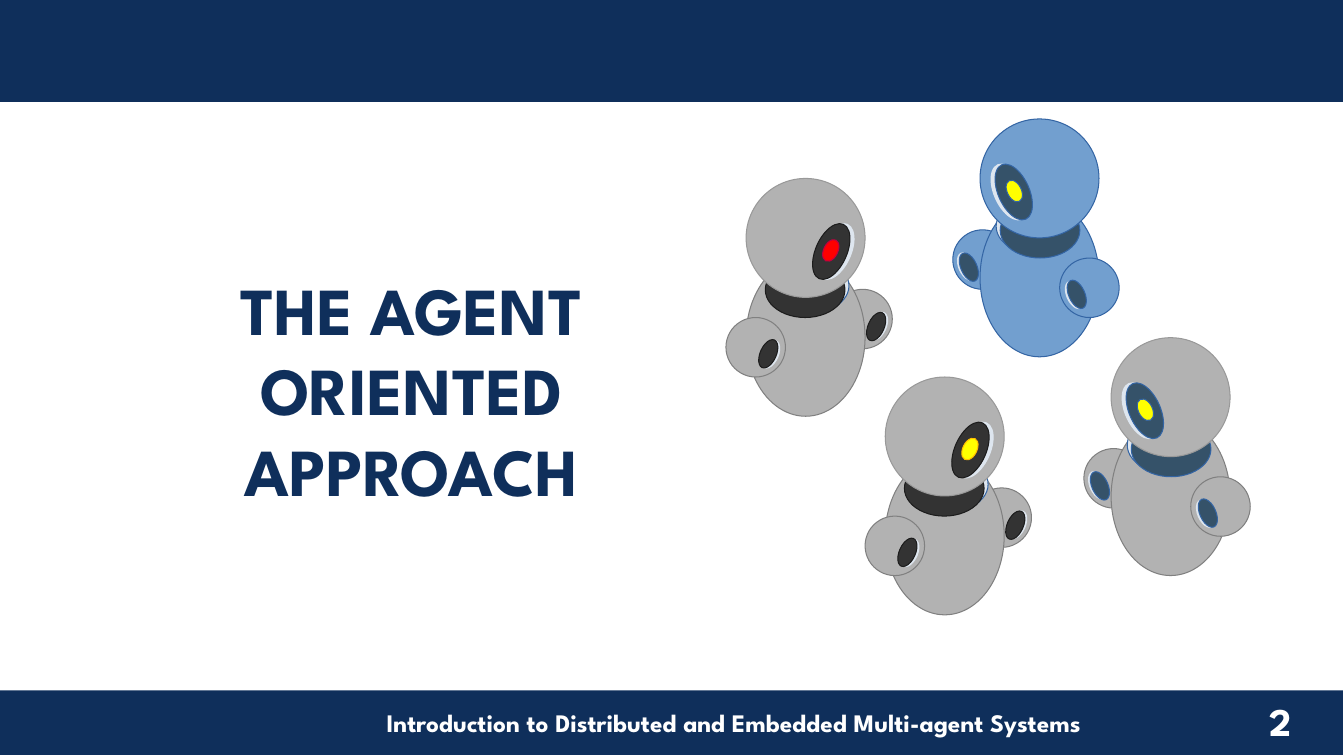
from dataclasses import dataclass
from typing import NamedTuple

from pptx import Presentation, util as u
from pptx.dml.color import RGBColor
from pptx.enum import shapes, text

EMU_PER_PX = 9144  # 100 px to the inch
SLIDE_WIDTH, SLIDE_HEIGHT = 1333, 750
ROBOT_WIDTH = 165


@dataclass(frozen=True)
class Theme:
    font: str = "League Spartan"
    navy: str = "0F2F5B"
    white: str = "FFFFFF"
    title_size: int = 48
    number_size: int = 28
    footer_size: int = 18


class Box(NamedTuple):
    left: int
    top: int
    width: int
    height: int


class Paint(NamedTuple):
    fill: str
    line: str


class Part(NamedTuple):
    role: str
    box: Box
    tilt: float = 0


@dataclass(frozen=True)
class Robot:
    left: int
    top: int
    skin: Paint
    head: Paint
    dark: Paint
    pupil: Paint
    mirrored: bool = False

    def paint(self, role: str) -> Paint:
        return {
            "skin": self.skin,
            "head": self.head,
            "dark": self.dark,
            "pupil": self.pupil,
            "glow": GLOW,
            "collar glow": COLLAR_GLOW,
        }[role]


THEME = Theme()

GLOW = Paint("DEE6EF", "DEE6EF")
COLLAR_GLOW = Paint("DEE6EF", "3465A4")
BLUE = Paint("729FCF", "3465A4")
GREY = Paint("B2B2B2", "808080")
GREY_HEAD = Paint("B2B2B2", "999999")
SLATE = Paint("355269", "3465A4")
BLACK = Paint("333333", "1C1C1C")
YELLOW = Paint("FFFF00", "3465A4")
AMBER = Paint("FFFF00", "FFBF00")
RED = Paint("FF0000", "BF0041")

# Robot facing left, from back to front, measured from its top left corner
ROBOT_PARTS = [
    Part("skin", Box(0, 110, 59, 59)),
    Part("glow", Box(6, 132, 16, 29), -23.8),
    Part("dark", Box(8, 132, 16, 30), -24.1),
    Part("skin", Box(27, 79, 118, 157)),
    Part("collar glow", Box(43, 79, 79, 55)),
    Part("dark", Box(47, 83, 79, 55)),
    Part("head", Box(27, 0, 118, 118)),
    Part("glow", Box(41, 43, 31, 59), -24),
    Part("dark", Box(45, 43, 31, 59), -24),
    Part("skin", Box(106, 138, 59, 59)),
    Part("glow", Box(113, 160, 16, 29), -23.8),
    Part("dark", Box(115, 159, 16, 30), -24.1),
    Part("pupil", Box(54, 60, 14, 23), -26),
]

ROBOTS = [
    Robot(945, 118, BLUE, BLUE, SLATE, YELLOW),
    Robot(1075, 335, GREY, GREY_HEAD, SLATE, YELLOW),
    Robot(858, 374, GREY, GREY_HEAD, BLACK, AMBER, mirrored=True),
    Robot(720, 177, GREY, GREY_HEAD, BLACK, RED, mirrored=True),
]


def px(length: int) -> u.Emu:
    return u.Emu(length * EMU_PER_PX)


def color(value: str) -> RGBColor:
    return RGBColor.from_string(value)


def add_filled(parent, kind: shapes.MSO_SHAPE, box: Box, fill: str):
    shape = parent.add_shape(kind, *map(px, box))
    shape.shadow.inherit = False
    shape.fill.solid()
    shape.fill.fore_color.rgb = color(fill)
    shape.line.fill.background()
    return shape


def add_text(slide, content: str, box: Box, *, size: int, ink: str) -> None:
    frame = slide.shapes.add_textbox(*map(px, box)).text_frame
    frame.word_wrap = True
    frame.auto_size = text.MSO_AUTO_SIZE.SHAPE_TO_FIT_TEXT
    paragraph = frame.paragraphs[0]
    paragraph.alignment = text.PP_ALIGN.CENTER
    run = paragraph.add_run()
    run.text = content
    run.font.name = THEME.font
    run.font.size = u.Pt(size)
    run.font.bold = True
    run.font.color.rgb = color(ink)


def add_robot(slide, robot: Robot) -> None:
    """Draw the robot as one group, turned to the right when mirrored."""
    group = slide.shapes.add_group_shape()
    for role, box, tilt in ROBOT_PARTS:
        left = box.left
        if robot.mirrored:
            left, tilt = ROBOT_WIDTH - box.left - box.width, -tilt
        placed = Box(robot.left + left, robot.top + box.top, box.width, box.height)
        paint = robot.paint(role)
        ellipse = add_filled(group.shapes, shapes.MSO_SHAPE.OVAL, placed, paint.fill)
        ellipse.rotation = tilt
        ellipse.line.color.rgb = color(paint.line)
        ellipse.line.width = 0


def main() -> None:
    presentation = Presentation()
    presentation.slide_width = px(SLIDE_WIDTH)
    presentation.slide_height = px(SLIDE_HEIGHT)
    slide = presentation.slides.add_slide(presentation.slide_layouts[6])

    for bar in (Box(0, 685, 1332, 64), Box(0, 0, 1332, 101)):
        add_filled(slide.shapes, shapes.MSO_SHAPE.RECTANGLE, bar, THEME.navy)

    add_text(slide, "Introduction to Distributed and Embedded Multi-agent Systems",
             Box(228, 697, 1000, 40), size=THEME.footer_size, ink=THEME.white)
    add_text(slide, "2", Box(1215, 687, 110, 63),
             size=THEME.number_size, ink=THEME.white)
    add_text(slide, "THE AGENT ORIENTED APPROACH", Box(92, 261, 632, 250),
             size=THEME.title_size, ink=THEME.navy)

    for robot in ROBOTS:
        add_robot(slide, robot)

    presentation.save("out.pptx")


if __name__ == "__main__":
    main()
